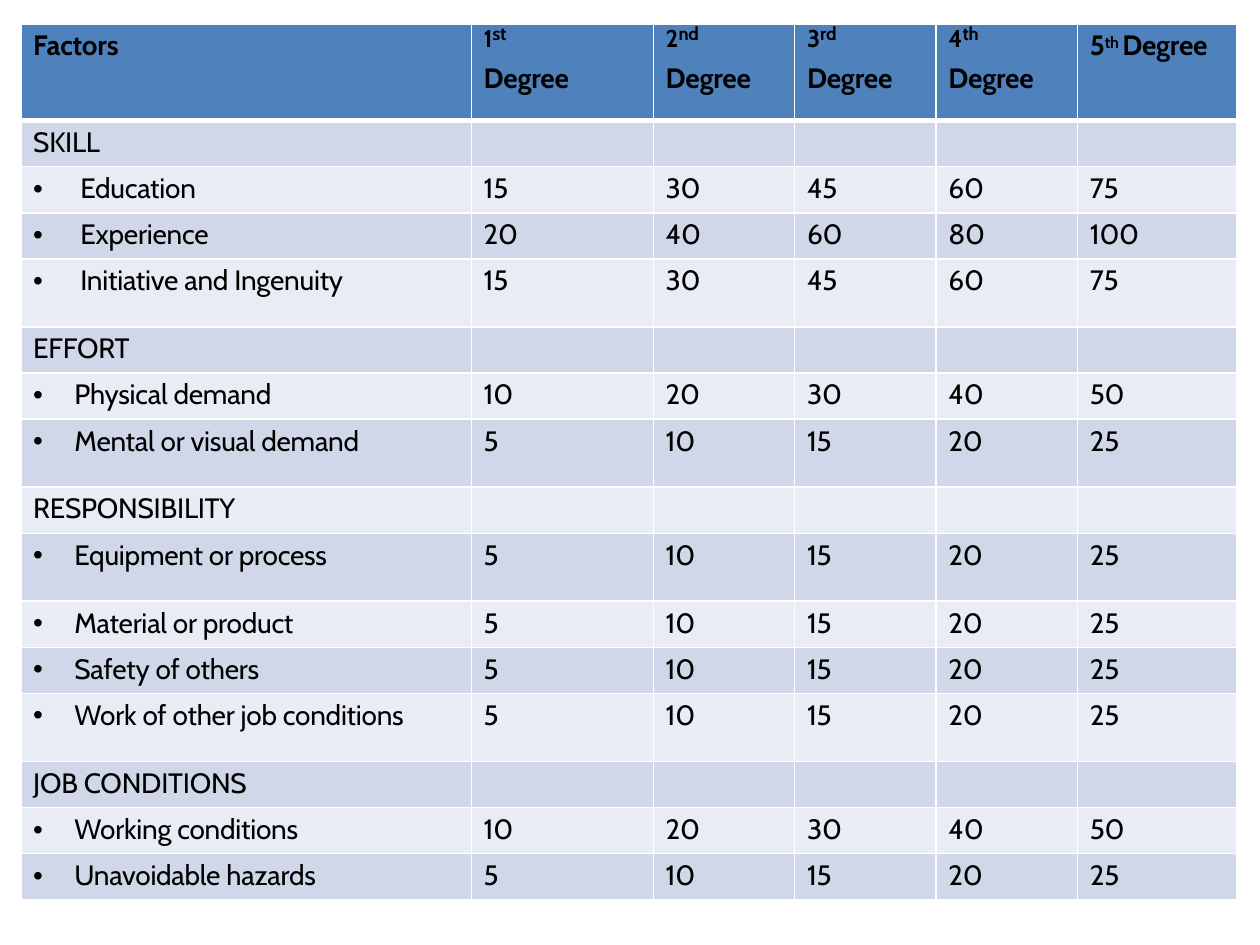
from pptx import Presentation
from pptx.dml.color import RGBColor
from pptx.oxml.ns import qn
from pptx.util import Cm, Pt
from lxml.etree import SubElement

BLACK = RGBColor(0, 0, 0)
BLUE = RGBColor(0x4F, 0x81, 0xBC)
BANDS = [RGBColor(0xE9, 0xEC, 0xF4), RGBColor(0xD0, 0xD7, 0xE8)]
FONT = "Cabin"
SIZE = 16
TIGHT = -10

WIDTHS = [9.08, 3.67, 2.85, 2.85, 2.85, 3.22]
HEAD, LOW, TALL = 1.95, 0.93, 1.37
PAD = 0.25
WIDE, NEAR = 1.2, 1.08

# Group, text position, and factors: name, first degree points, row height
GROUPS = [
    ("SKILL", WIDE, [("Education", 15, LOW), ("Experience", 20, LOW),
                     ("Initiative and Ingenuity", 15, TALL)]),
    ("EFFORT", NEAR, [("Physical demand", 10, LOW),
                      ("Mental or visual demand", 5, TALL)]),
    ("RESPONSIBILITY", NEAR, [("Equipment or process", 5, TALL),
                              ("Material or product", 5, LOW),
                              ("Safety of others", 5, LOW),
                              ("Work of other job conditions", 5, TALL)]),
    ("JOB CONDITIONS", NEAR, [("Working conditions", 10, LOW),
                              ("Unavoidable hazards", 5, LOW)]),
]


def add_run(para, text, size=SIZE, bold=False, base=0):
    """Add a run; base is its rise above the line in percent."""
    run = para.add_run()
    run.text = text
    font = run.font
    font.name, font.size, font.bold = FONT, Pt(size), bold
    font.color.rgb = BLACK
    props = run._r.get_or_add_rPr()
    props.set("spc", str(TIGHT))
    if base:
        props.set("baseline", str(base * 1000))


def indent(para, left, hang=0):
    props = para._p.get_or_add_pPr()
    props.set("marL", str(Cm(left)))
    props.set("indent", str(-Cm(hang)))
    return props


def add_bullet(para, left):
    props = indent(para, left, left - PAD)
    SubElement(props, qn("a:buFont"), typeface="Arial")
    SubElement(props, qn("a:buChar"), char="•")


def style_cell(cell, fill, top=1, bottom=1):
    """Set margins, white borders and fill; top and bottom are points."""
    cell.margin_left = cell.margin_right = cell.margin_bottom = 0
    cell.margin_top = Cm(0.1)
    props = cell._tc.get_or_add_tcPr()
    for side, width in zip("LRTB", (1, 1, top, bottom)):
        line = SubElement(props, qn(f"a:ln{side}"), w=str(Pt(width)))
        paint = SubElement(line, qn("a:solidFill"))
        SubElement(paint, qn("a:srgbClr"), val="FFFFFF")
    cell.fill.solid()
    cell.fill.fore_color.rgb = fill


def write(cell, text, bold=False, bullet=None):
    para = cell.text_frame.paragraphs[0]
    if bullet:
        add_bullet(para, bullet)
    else:
        indent(para, PAD)
    para.space_before = Pt(2.6)
    add_run(para, text, bold=bold)
    return para


def write_degree(cell, digit, suffix):
    """Write an ordinal with the word Degree below it."""
    cell.margin_top = 0
    first = cell.text_frame.paragraphs[0]
    indent(first, PAD)
    first.line_spacing = Pt(17)
    add_run(first, digit, 24, True, -17)
    add_run(first, suffix, 10.5, True)
    second = cell.text_frame.add_paragraph()
    indent(second, PAD)
    second.space_before = Pt(4.8)
    add_run(second, "Degree", bold=True)


def fill_head(cells):
    for cell in cells:
        style_cell(cell, BLUE, bottom=3)
    write(cells[0], "Factors", True)
    for cell, mark in zip(cells[1:5], ("st", "nd", "rd", "th")):
        write_degree(cell, str(cells.index(cell)), mark)
    last = write(cells[5], "5", True)
    add_run(last, "th ", 15.8, True, 26)
    add_run(last, "Degree", bold=True)


def list_rows():
    """Give text, points, height and text position for each body row."""
    rows = []
    for group, left, factors in GROUPS:
        rows.append((group, None, LOW, None))
        rows += [(*factor, left) for factor in factors]
    return rows


def add_grid(slide):
    body = list_rows()
    heights = [HEAD] + [row[2] for row in body]
    frame = slide.shapes.add_table(
        len(heights), len(WIDTHS), Cm(0.42), Cm(0.48),
        Cm(sum(WIDTHS)), Cm(sum(heights)))
    table = frame.table
    table.first_row = table.horz_banding = False
    for col, width in zip(table.columns, WIDTHS):
        col.width = Cm(width)
    for row, height in zip(table.rows, heights):
        row.height = Cm(height)

    fill_head(list(table.rows[0].cells))
    for num, (text, points, _, left) in enumerate(body, 1):
        cells = list(table.rows[num].cells)
        for cell in cells:
            style_cell(cell, BANDS[num % 2], top=3 if num == 1 else 1)
        write(cells[0], text, bullet=left)
        if points:
            for degree, cell in enumerate(cells[1:], 1):
                write(cell, str(points * degree))


def main():
    deck = Presentation()
    deck.slide_width, deck.slide_height = Cm(25.4), Cm(19.05)
    add_grid(deck.slides.add_slide(deck.slide_layouts[6]))
    deck.save("out.pptx")


if __name__ == "__main__":
    main()
